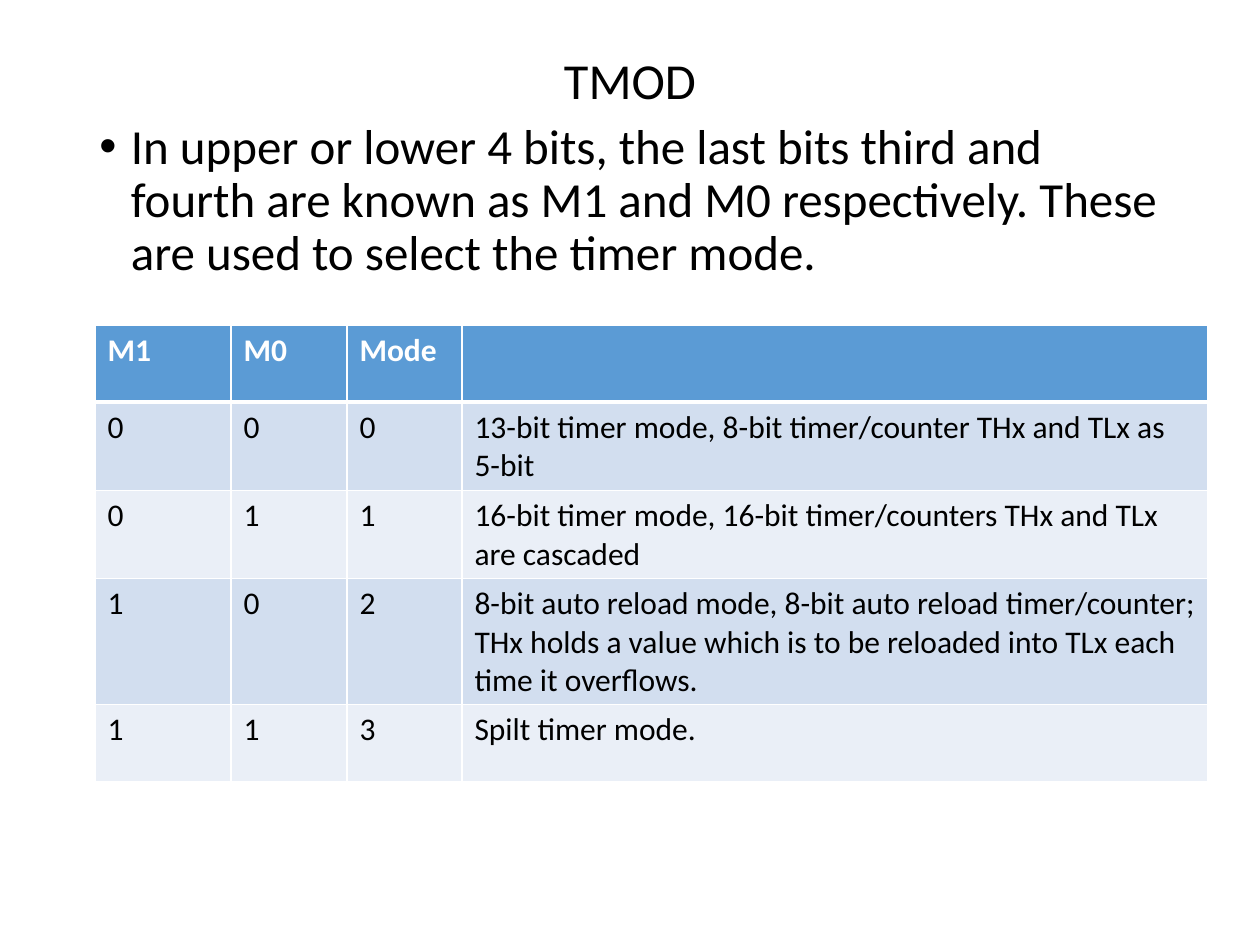
from pptx import Presentation, util as u
from pptx.dml.color import RGBColor
from pptx.enum import text as t
from pptx.oxml import parse_xml
from pptx.oxml.ns import nsdecls

PX = 914400 / 126
FONT = "Calibri"
BLACK, WHITE, BLUE = "000000", "FFFFFF", "5B9BD5"
BANDS = ["D2DEEF", "EAEFF7"]

TITLE = "TMOD"
BODY = ("In upper or lower 4 bits, the last bits third and fourth are known as "
        "M1 and M0 respectively. These are used to select the timer mode.")
ROWS = [
    ("M1", "M0", "Mode", ""),
    ("0", "0", "0", "13-bit timer mode, 8-bit timer/counter THx and TLx as 5-bit"),
    ("0", "1", "1", "16-bit timer mode, 16-bit timer/counters THx and TLx are cascaded"),
    ("1", "0", "2", "8-bit auto reload mode, 8-bit auto reload timer/counter; "
                    "THx holds a value which is to be reloaded into TLx each time it overflows."),
    ("1", "1", "3", "Spilt timer mode."),
]
COLS = [136, 116, 115, 746]
HIGH = 77


def px(n):
    return u.Emu(round(n * PX))


def color(code):
    return RGBColor.from_string(code)


def place(shape, *box):
    shape.left, shape.top, shape.width, shape.height = map(px, box)


def write(para, words, size, code=BLACK, bold=False):
    para.font.size = u.Pt(size)
    if words:
        run = para.add_run()
        run.text = words
        run.font.name, run.font.size, run.font.bold = FONT, u.Pt(size), bold
        run.font.color.rgb = color(code)


def edge(cell, head):
    props = cell._tc.get_or_add_tcPr()
    for n, side in enumerate("LRTB"):
        wide = u.Pt(3 if head and side == "B" else 1)
        props.insert(n, parse_xml(
            f'<a:ln{side} {nsdecls("a")} w="{wide}"><a:solidFill>'
            f'<a:srgbClr val="{WHITE}"/></a:solidFill></a:ln{side}>'))


deck = Presentation()
deck.slide_width, deck.slide_height = px(1260), px(945)
slide = deck.slides.add_slide(deck.slide_layouts[5])

title = slide.shapes.title
place(title, 87, 50, 1086, 66)
frame = title.text_frame
frame.word_wrap = True
frame.auto_size = t.MSO_AUTO_SIZE.NONE
frame.vertical_anchor = t.MSO_ANCHOR.MIDDLE
para = frame.paragraphs[0]
para.alignment = t.PP_ALIGN.CENTER
para.line_spacing = 0.9
write(para, TITLE, 28.8)

body = slide.shapes.add_textbox(0, 0, 0, 0)
place(body, 87, 116, 1086, 736)
frame = body.text_frame
frame.word_wrap = True
para = frame.paragraphs[0]
para.line_spacing = 0.9
props = para._p.get_or_add_pPr()
props.set("marL", str(u.Inches(0.25)))
props.set("indent", str(-u.Inches(0.25)))
props.append(parse_xml(f'<a:buFont {nsdecls("a")} typeface="Arial"/>'))
props.append(parse_xml(f'<a:buChar {nsdecls("a")} char="•"/>'))
write(para, BODY, 28)

grid = slide.shapes.add_table(len(ROWS), len(COLS), px(95), px(325),
                              px(sum(COLS)), px(HIGH * len(ROWS))).table
for col, wide in zip(grid.columns, COLS):
    col.width = px(wide)
for r, row in enumerate(ROWS):
    grid.rows[r].height = px(HIGH)
    head = r == 0
    for c, words in enumerate(row):
        cell = grid.cell(r, c)
        cell.fill.solid()
        cell.fill.fore_color.rgb = color(BLUE if head else BANDS[(r - 1) % 2])
        edge(cell, head)
        write(cell.text_frame.paragraphs[0], words, 18, WHITE if head else BLACK, head)

deck.save("out.pptx")
